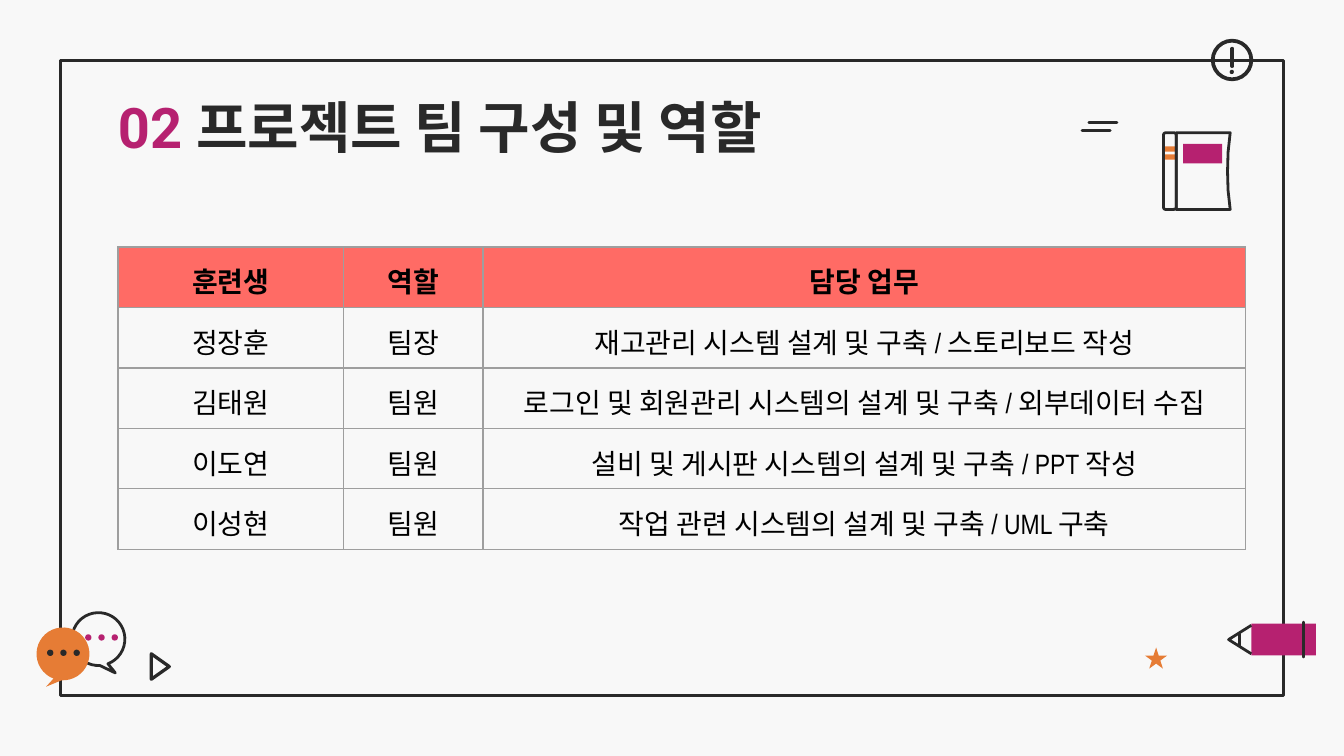
from math import cos, radians, sin

from lxml import etree
from pptx import Presentation
from pptx.dml.color import RGBColor
from pptx.enum import shapes, text
from pptx.oxml import parse_xml
from pptx.oxml.ns import nsdecls, qn
from pptx.util import Cm, Pt

INK, PINK, ORANGE, PAPER = "292929", "B62170", "E67C35", "F8F8F8"
CORAL, GREY, BLACK = "FF6B65", "9E9E9E", "000000"
KIND = shapes.MSO_SHAPE

ROWS = [
    ("훈련생", "역할", "담당 업무"),
    ("정장훈", "팀장", "재고관리 시스템 설계 및 구축 / 스토리보드 작성"),
    ("김태원", "팀원", "로그인 및 회원관리 시스템의 설계 및 구축 / 외부데이터 수집"),
    ("이도연", "팀원", "설비 및 게시판 시스템의 설계 및 구축 / PPT 작성"),
    ("이성현", "팀원", "작업 관련 시스템의 설계 및 구축 / UML 구축"),
]


def color(code):
    return RGBColor.from_string(code)


def paint(item, fill=None, line=None, width=1.5):
    item.shadow.inherit = False
    if fill:
        item.fill.solid()
        item.fill.fore_color.rgb = color(fill)
    else:
        item.fill.background()
    if line:
        item.line.color.rgb = color(line)
        item.line.width = Pt(width)
    else:
        item.line.fill.background()


def shape(slide, kind, box, **style):
    item = slide.shapes.add_shape(kind, *map(Cm, box))
    paint(item, **style)


def outline(slide, points, close=True, **style):
    spots = [(Cm(x), Cm(y)) for x, y in points]
    build = slide.shapes.build_freeform(*spots[0])
    build.add_line_segments(spots[1:], close=close)
    paint(build.convert_to_shape(), **style)


def stroke(slide, x1, y1, x2, y2, width=1.5):
    item = slide.shapes.add_connector(
        shapes.MSO_CONNECTOR.STRAIGHT, Cm(x1), Cm(y1), Cm(x2), Cm(y2))
    item.line.color.rgb = color(INK)
    item.line.width = Pt(width)
    item.line._get_or_add_ln().set("cap", "rnd")
    etree.SubElement(item._element.spPr, qn("a:effectLst"))


def bubble(slide, x, y, start, tip, **style):
    """Round speech bubble whose tail fills the gap left before the start angle."""
    turns = [radians(start + step) for step in range(0, 343, 9)]
    arc = [(x + 0.5 * cos(t), y + 0.5 * sin(t)) for t in turns]
    outline(slide, arc + [tip], **style)


def dots(slide, x, y, fill):
    for i in range(3):
        shape(slide, KIND.OVAL, (x + 0.25 * i, y, 0.12, 0.12), fill=fill)


def write(para, words, size, face, ink, bold):
    run = para.add_run()
    run.text = words
    run.font.size = Pt(size)
    run.font.name = face
    run.font.bold = bold
    run.font.color.rgb = color(ink)


def title(slide):
    box = slide.shapes.add_textbox(Cm(1.98), Cm(1.5), Cm(14.05), Cm(2.97))
    frame = box.text_frame
    frame.word_wrap = True
    frame.margin_left = frame.margin_right = Cm(0.25)
    frame.margin_top = frame.margin_bottom = Cm(0.25)
    para = frame.paragraphs[0]
    write(para, "02 ", 30, "Roboto", PINK, True)
    write(para, "프로젝트 팀 구성 및 역할", 30, "Roboto", INK, True)


def border(cell):
    props = cell._tc.get_or_add_tcPr()
    for side in "LRTB":
        props.append(parse_xml(
            f'<a:ln{side} {nsdecls("a")} w="{Pt(0.75)}"><a:solidFill>'
            f'<a:srgbClr val="{GREY}"/></a:solidFill></a:ln{side}>'))


def table(slide):
    widths = (4.26, 2.64, 14.41)
    grid = slide.shapes.add_table(
        len(ROWS), len(widths), Cm(2.23), Cm(4.67), Cm(sum(widths)), Cm(5.71)).table
    grid.horz_banding = False
    for col, width in zip(grid.columns, widths):
        col.width = Cm(width)
    for r, row in enumerate(ROWS):
        for c, words in enumerate(row):
            cell = grid.cell(r, c)
            cell.margin_left = cell.margin_right = Cm(0.25)
            cell.margin_top = cell.margin_bottom = Cm(0.25)
            border(cell)
            if r == 0:
                cell.fill.solid()
                cell.fill.fore_color.rgb = color(CORAL)
            else:
                cell.fill.background()
            para = cell.text_frame.paragraphs[0]
            para.alignment = text.PP_ALIGN.CENTER
            write(para, words, 15, "Arial Narrow", BLACK, r == 0)


def alert(slide):
    shape(slide, KIND.OVAL, (22.92, 0.77, 0.73, 0.73), line=INK, width=2)
    shape(slide, KIND.OVAL, (23.24, 1.32, 0.08, 0.08), fill=INK)
    stroke(slide, 23.29, 0.92, 23.29, 1.25, 2)


def pencil(slide):
    shape(slide, KIND.RECTANGLE, (23.65, 11.79, 1.22, 0.6), fill=PINK)
    outline(slide, [(23.65, 12.36), (23.22, 12.09), (23.65, 11.82)],
            close=False, line=INK)
    stroke(slide, 23.42, 11.98, 23.42, 12.21)
    stroke(slide, 24.64, 11.76, 24.64, 12.42)


def book(slide):
    for y in (2.77, 2.92):
        shape(slide, KIND.RECTANGLE, (22, y, 0.23, 0.1), fill=ORANGE)
    shape(slide, KIND.ROUNDED_RECTANGLE, (21.99, 2.51, 0.24, 1.45), line=INK)
    outline(slide, [(22.23, 2.51), (23.25, 2.51), (23.21, 2.88), (23.2, 3.24),
                    (23.21, 3.6), (23.25, 3.96), (22.23, 3.96)], line=INK)
    shape(slide, KIND.RECTANGLE, (22.36, 2.72, 0.74, 0.37), fill=PINK)
    stroke(slide, 20.58, 2.31, 21.11, 2.31)
    stroke(slide, 20.45, 2.46, 20.98, 2.46)


def chat(slide):
    bubble(slide, 1.86, 12.08, 87, (2.18, 12.72), line=INK)
    bubble(slide, 1.19, 12.36, 111, (0.87, 12.98), fill=ORANGE)
    dots(slide, 0.89, 12.28, INK)
    dots(slide, 1.61, 11.99, PINK)


def main():
    deck = Presentation()
    deck.slide_width, deck.slide_height = Cm(25.4), Cm(14.29)
    slide = deck.slides.add_slide(deck.slide_layouts[6])
    slide.background.fill.solid()
    slide.background.fill.fore_color.rgb = color(PAPER)
    shape(slide, KIND.RECTANGLE, (1.14, 1.14, 23.12, 12.01), line=INK)
    alert(slide)
    pencil(slide)
    title(slide)
    book(slide)
    chat(slide)
    outline(slide, [(2.86, 12.36), (3.2, 12.6), (2.86, 12.84)],
            fill=PAPER, line=INK, width=1.75)
    shape(slide, KIND.STAR_5_POINT, (21.64, 12.24, 0.42, 0.4), fill=ORANGE)
    table(slide)
    deck.save("out.pptx")


if __name__ == "__main__":
    main()
